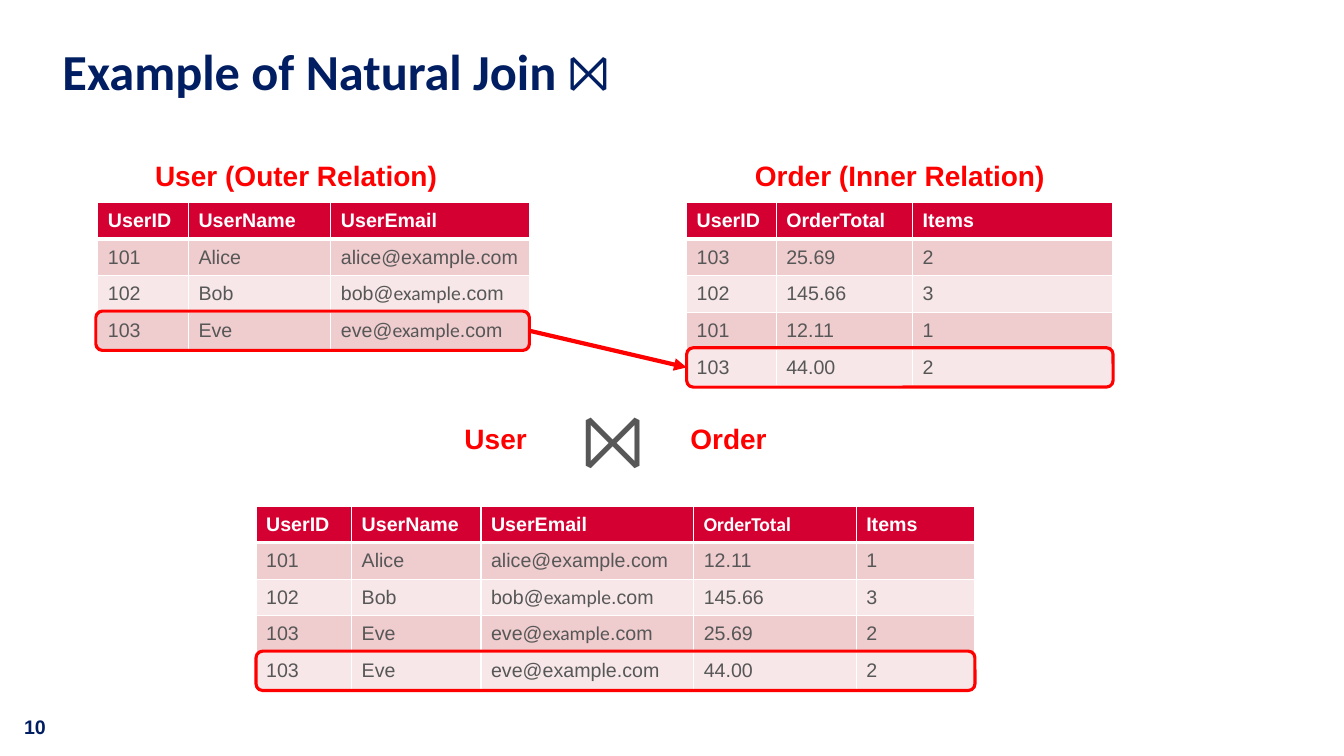
from dataclasses import dataclass

from lxml.etree import SubElement
from pptx import Presentation
from pptx.dml.color import RGBColor
from pptx.enum.shapes import MSO_CONNECTOR, MSO_SHAPE
from pptx.enum.text import MSO_ANCHOR, PP_ALIGN
from pptx.oxml.ns import qn
from pptx.util import Inches, Pt

SLIDE_WIDTH, SLIDE_HEIGHT = Inches(13.33), Inches(7.5)
ROW = 4.85  # table row, percent of the slide height


@dataclass(frozen=True)
class Theme:
    navy: str = "001E61"
    red: str = "FF0000"
    header: str = "D40032"
    bands: tuple = ("EFCCCE", "F7E7E8")
    grey: str = "575757"
    white: str = "FFFFFF"
    body_font: str = "Arial"
    title_font: str = "Calibri"
    title_size: int = 36
    symbol_size: int = 54
    label_size: int = 20
    cell_size: int = 14


@dataclass(frozen=True)
class Box:
    """A rectangle in percent of the slide's width and height."""
    left: float
    top: float
    width: float
    height: float

    def emu(self):
        return (int(SLIDE_WIDTH * self.left / 100), int(SLIDE_HEIGHT * self.top / 100),
                int(SLIDE_WIDTH * self.width / 100), int(SLIDE_HEIGHT * self.height / 100))


THEME = Theme()


def colour(value):
    return RGBColor.from_string(value)


def add_run(paragraph, text, size, text_colour, bold=False, font=THEME.body_font):
    run = paragraph.add_run()
    run.text = text
    run.font.name = font
    run.font.size = Pt(size)
    run.font.bold = bold
    run.font.color.rgb = colour(text_colour)


def add_label(slide, box, text, size=THEME.label_size, text_colour=THEME.red,
              bold=True, align=PP_ALIGN.CENTER):
    frame = slide.shapes.add_textbox(*box.emu()).text_frame
    frame.word_wrap = True
    paragraph = frame.paragraphs[0]
    paragraph.alignment = align
    add_run(paragraph, text, size, text_colour, bold)


def add_borders(cell, is_header):
    properties = cell._tc.get_or_add_tcPr()
    for side in ("lnL", "lnR", "lnT", "lnB"):
        points = 3 if is_header and side == "lnB" else 1
        line = SubElement(properties, qn(f"a:{side}"), w=str(Pt(points)))
        fill = SubElement(line, qn("a:solidFill"))
        SubElement(fill, qn("a:srgbClr"), val=THEME.white)


def fill_cell(cell, text, row_number):
    is_header = row_number == 0
    add_borders(cell, is_header)
    cell.fill.solid()
    cell.fill.fore_color.rgb = colour(
        THEME.header if is_header else THEME.bands[(row_number - 1) % 2])
    cell.vertical_anchor = MSO_ANCHOR.MIDDLE
    # A bar in the text switches between the body and the title font
    for part_number, part in enumerate(text.split("|")):
        if part:
            add_run(cell.text_frame.paragraphs[0], part, THEME.cell_size,
                    THEME.white if is_header else THEME.grey, is_header,
                    THEME.title_font if part_number % 2 else THEME.body_font)


def add_relation(slide, left, top, width, column_shares, rows):
    """Place a table whose columns are percentages of its width."""
    box = Box(left, top, width, ROW * len(rows))
    table = slide.shapes.add_table(len(rows), len(column_shares), *box.emu()).table
    for column, share in zip(table.columns, column_shares):
        column.width = int(box.emu()[2] * share / 100)
    for row_number, values in enumerate(rows):
        table.rows[row_number].height = int(SLIDE_HEIGHT * ROW / 100)
        for column_number, text in enumerate(values):
            fill_cell(table.cell(row_number, column_number), text, row_number)
    return box


def add_heading(slide, table_box, text, shift=0):
    add_label(slide, Box(table_box.left + shift, table_box.top - 6.53,
                         table_box.width, 5.87), text)


def outline_last_row(slide, table_box, overhang=0):
    bottom = table_box.top + table_box.height
    box = Box(table_box.left - overhang, bottom - ROW - 0.2,
              table_box.width + overhang, ROW + 0.35)
    shape = slide.shapes.add_shape(MSO_SHAPE.ROUNDED_RECTANGLE, *box.emu())
    shape.shadow.inherit = False
    shape.fill.background()
    shape.line.color.rgb = colour(THEME.red)
    shape.line.width = Pt(2.25)
    return shape


def add_arrow(slide, source, target):
    connector = slide.shapes.add_connector(MSO_CONNECTOR.STRAIGHT, 0, 0, 0, 0)
    connector.begin_connect(source, 3)
    connector.end_connect(target, 1)
    connector.line.color.rgb = colour(THEME.red)
    connector.line.width = Pt(3)
    SubElement(connector.line._get_or_add_ln(), qn("a:tailEnd"), type="triangle")
    SubElement(connector._element.spPr, qn("a:effectLst"))


def add_title(slide, box):
    title = slide.shapes.title
    title.left, title.top, title.width, title.height = box.emu()
    frame = title.text_frame
    frame.margin_left = frame.margin_top = frame.margin_right = frame.margin_bottom = 0
    frame.vertical_anchor = MSO_ANCHOR.TOP
    paragraph = frame.paragraphs[0]
    paragraph.alignment = PP_ALIGN.LEFT
    paragraph.line_spacing = 0.9
    add_run(paragraph, "Example of Natural Join ⨝", THEME.title_size, THEME.navy,
            True, THEME.title_font)


def add_inputs(slide, top):
    user = add_relation(slide, 7.28, top, 32.11, (21, 33, 46), [
        ("UserID", "UserName", "UserEmail"),
        ("101", "Alice", "alice@example.com"),
        ("102", "Bob", "bob@|example|.com"),
        ("103", "Eve", "eve@|example|.com")])
    add_heading(slide, user, "User (Outer Relation)", shift=-1.3)
    order = add_relation(slide, 51.09, top, 31.73, (21, 32, 47), [
        ("UserID", "OrderTotal", "Items"),
        ("103", "25.69", "2"),
        ("102", "145.66", "3"),
        ("101", "12.11", "1"),
        ("103", "44.00", "2")])
    add_heading(slide, order, "Order (Inner Relation)")
    add_arrow(slide, outline_last_row(slide, user, overhang=0.15),
              outline_last_row(slide, order))


def add_expression(slide, box):
    """User, join symbol and Order side by side."""
    label_top = box.top + 3.87
    add_label(slide, Box(box.left, label_top, 11.5, 5.87), "User")
    add_label(slide, Box(box.left + 11.5, box.top, 6, box.height), "⨝",
              THEME.symbol_size, THEME.grey, bold=False)
    add_label(slide, Box(box.left + 17.25, label_top, 11.65, 5.87), "Order")


def add_result(slide, left, top, width):
    result = add_relation(slide, left, top, width, (13.3, 18, 29.6, 22.6, 16.5), [
        ("UserID", "UserName", "UserEmail", "|OrderTotal", "Items"),
        ("101", "Alice", "alice@example.com", "12.11", "1"),
        ("102", "Bob", "bob@|example|.com", "145.66", "3"),
        ("103", "Eve", "eve@|example|.com", "25.69", "2"),
        ("103", "Eve", "eve@example.com", "44.00", "2")])
    outline_last_row(slide, result)


def main():
    presentation = Presentation()
    presentation.slide_width, presentation.slide_height = SLIDE_WIDTH, SLIDE_HEIGHT
    slide = presentation.slides.add_slide(presentation.slide_layouts[5])
    add_title(slide, Box(4.65, 6.27, 90.62, 11.87))
    add_inputs(slide, 26.8)
    add_expression(slide, Box(31.13, 51.2, 28.9, 13.47))
    add_result(slide, 19.05, 66.93, 53.49)
    # Slide number
    add_label(slide, Box(1.05, 93.87, 4.95, 4.53), "10", THEME.cell_size,
              THEME.navy, align=PP_ALIGN.LEFT)
    presentation.save("out.pptx")


if __name__ == "__main__":
    main()
